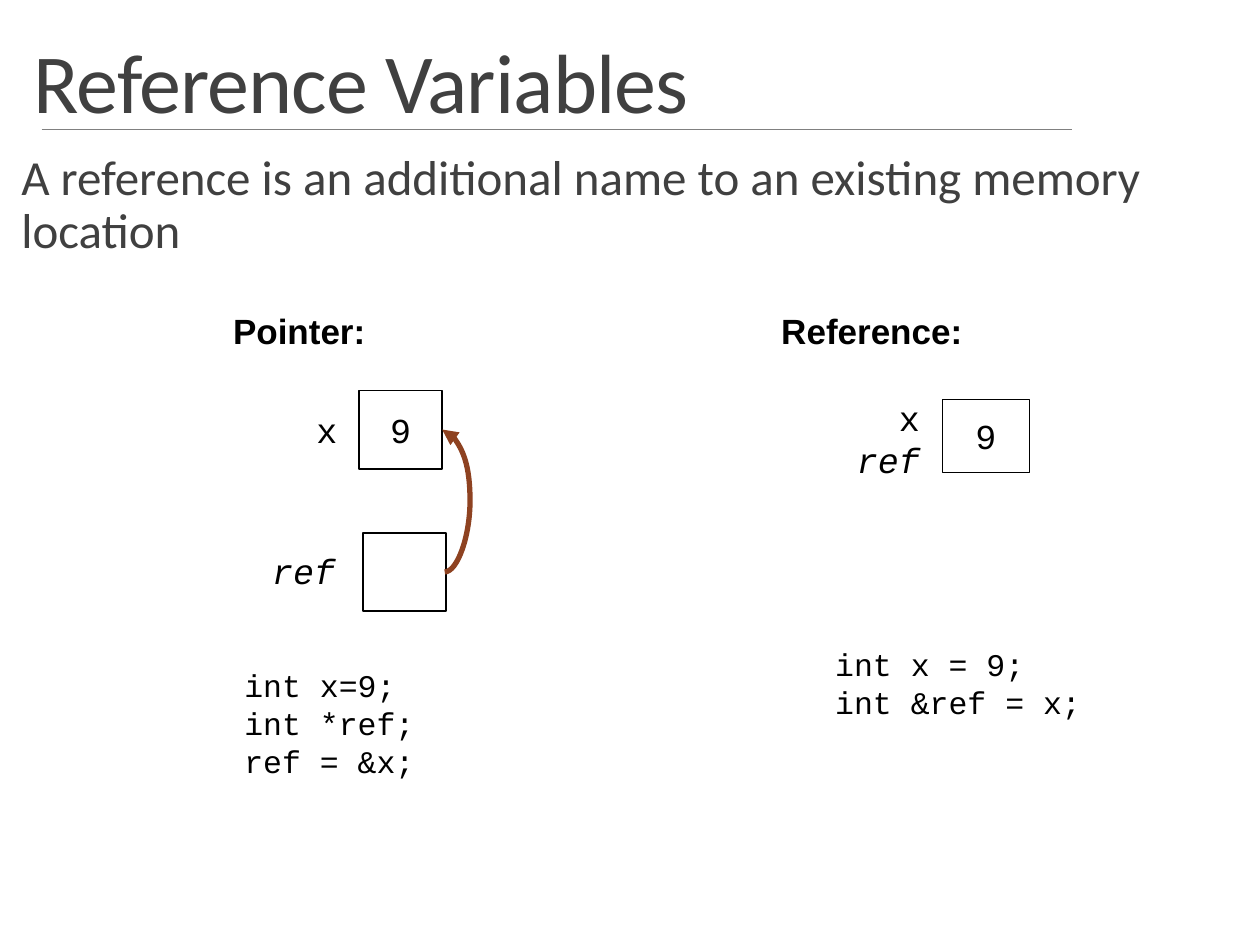
from lxml import etree
from pptx import Presentation, util as u
from pptx.dml.color import RGBColor
from pptx.enum import shapes, text
from pptx.oxml.ns import qn

BLACK = RGBColor(0x00, 0x00, 0x00)
WHITE = RGBColor(0xFF, 0xFF, 0xFF)
DARK = RGBColor(0x40, 0x40, 0x40)
GREY = RGBColor(0x80, 0x80, 0x80)
BROWN = RGBColor(0x8E, 0x42, 0x21)

WIDTH, HEIGHT = u.Inches(10), u.Inches(7.5)
COLS, ROWS = 100, 75
CODE = "Courier New"


def cell(col, row):
    return round(WIDTH * col / COLS), round(HEIGHT * row / ROWS)


def write(tf, lines, size=20, font=CODE, color=BLACK, align=text.PP_ALIGN.CENTER,
          bold=False, italics=(), spacing=None, before=0, after=0, tracking=None,
          inset=0.1, wrap=True, anchor=text.MSO_ANCHOR.TOP):
    tf.word_wrap = wrap
    tf.vertical_anchor = anchor
    tf.margin_left = tf.margin_right = u.Inches(inset)
    tf.margin_top = tf.margin_bottom = u.Inches(0.05)
    for i, line in enumerate(lines):
        p = tf.paragraphs[0] if i == 0 else tf.add_paragraph()
        p.alignment = align
        p.line_spacing = spacing
        p.space_before, p.space_after = u.Pt(before), u.Pt(after)
        r = p.add_run()
        r.text = line
        r.font.name, r.font.size = font, u.Pt(size)
        r.font.bold, r.font.italic = bold, line in italics
        r.font.color.rgb = color
        if tracking is not None:
            r.font._element.set("spc", str(round(tracking * 100)))


def label(parent, at, lines, **fmt):
    sp = parent.add_textbox(*cell(*at[:2]), *cell(*at[2:]))
    write(sp.text_frame, lines, **fmt)


def memory_box(parent, at, value=None):
    sp = parent.add_shape(shapes.MSO_SHAPE.RECTANGLE, *cell(*at[:2]), *cell(*at[2:]))
    sp.shadow.inherit = False
    sp.fill.solid()
    sp.fill.fore_color.rgb = WHITE
    sp.line.color.rgb = BLACK
    sp.line.width = u.Pt(1)
    if value:
        write(sp.text_frame, [value], wrap=False, anchor=text.MSO_ANCHOR.MIDDLE)


def connect(parent, kind, start, end, color, width):
    cx = parent.add_connector(kind, *cell(*start), *cell(*end))
    cx.line.color.rgb = color
    cx.line.width = u.Pt(width)
    etree.SubElement(cx._element.spPr, qn("a:effectLst"))
    return cx


def pointer_arrow(parent, start, end, bulge):
    cx = connect(parent, shapes.MSO_CONNECTOR.CURVE, start, end, BROWN, 3)
    geom = cx._element.spPr.find(qn("a:prstGeom"))
    guides = geom.find(qn("a:avLst"))
    if guides is None:
        guides = etree.SubElement(geom, qn("a:avLst"))
    ratio = round(-bulge / (start[0] - end[0]) * 100000)
    etree.SubElement(guides, qn("a:gd"), name="adj1", fmla=f"val {ratio}")
    etree.SubElement(cx.line._get_or_add_ln(), qn("a:tailEnd"), type="triangle")


def heading(s):
    connect(s.shapes, shapes.MSO_CONNECTOR.STRAIGHT, (3.3, 10.3), (85.1, 10.3), GREY, 0.5)
    prose = dict(font="Calibri", color=DARK, align=text.PP_ALIGN.LEFT)
    label(s.shapes, (1.7, 3.1, 96.7, 6.9), ["Reference Variables"],
          size=48, spacing=0.85, tracking=-0.5, **prose)
    label(s.shapes, (1.7, 11.7, 96.7, 61.7),
          ["A reference is an additional name to an existing memory location"],
          size=28, spacing=0.9, before=12, after=2, inset=0, **prose)


def caption(parent, at, title):
    label(parent, at, [title], font="Arial", bold=True, wrap=False)


def pointer_diagram(s):
    g = s.shapes.add_group_shape().shapes
    memory_box(g, (28.5, 31, 6.6, 6.2), "9")
    label(g, (23.9, 31.9, 4.1, 4.3), ["x"])
    memory_box(g, (28.8, 42.3, 6.6, 6.2))
    label(g, (20.3, 43.1, 7.6, 4.3), ["ref"], italics=("ref",))
    pointer_arrow(g, (35.3, 45.4), (35.1, 34.1), 2)
    caption(g, (17.5, 24.1, 12.5, 4.3), "Pointer:")


def reference_diagram(s):
    g = s.shapes.add_group_shape().shapes
    memory_box(g, (74.8, 31.7, 6.9, 5.8), "9")
    label(g, (66.7, 31, 7.3, 7.7), ["x", "ref"], italics=("ref",),
          align=text.PP_ALIGN.RIGHT)
    caption(g, (61, 24.1, 16.4, 4.3), "Reference:")


def code(s, at, lines):
    label(s.shapes, at, lines, size=18, align=text.PP_ALIGN.LEFT, wrap=False)


def main():
    prs = Presentation()
    prs.slide_width, prs.slide_height = WIDTH, HEIGHT
    s = prs.slides.add_slide(prs.slide_layouts[6])
    heading(s)
    pointer_diagram(s)
    reference_diagram(s)
    code(s, (18.4, 52.4, 15.5, 10), ["int x=9;", "int *ref;", "ref = &x;"])
    code(s, (65.3, 50.7, 21.5, 7), ["int x = 9;", "int &ref = x;"])
    prs.save("out.pptx")


if __name__ == "__main__":
    main()
